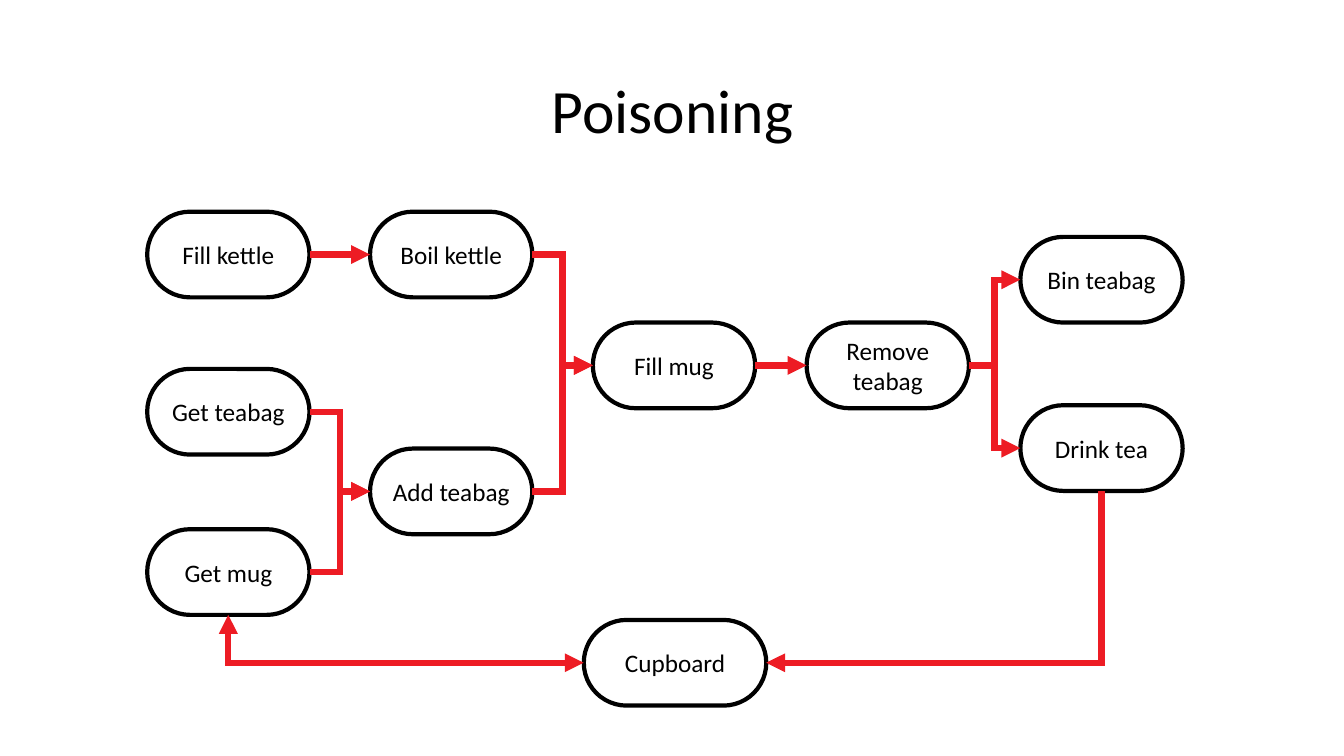
from lxml import etree
from pptx import Presentation
from pptx.dml.color import RGBColor
from pptx.enum.shapes import MSO_CONNECTOR, MSO_SHAPE
from pptx.enum.text import MSO_ANCHOR, PP_ALIGN
from pptx.oxml.ns import qn
from pptx.util import Inches, Pt

ROUNDED = MSO_SHAPE.ROUNDED_RECTANGLE
STRAIGHT, ELBOW = MSO_CONNECTOR.STRAIGHT, MSO_CONNECTOR.ELBOW
MIDDLE, CENTER = MSO_ANCHOR.MIDDLE, PP_ALIGN.CENTER
LEFT, BOTTOM, RIGHT = 1, 2, 3

FONT, BLACK, RED = "Calibri", "000000", "ED1C24"
TITLE = "Poisoning"
STEP_WIDTH, CUPBOARD_WIDTH, STEP_HEIGHT = 1.61, 1.81, 0.85
COLUMNS = [1.46, 3.67, 5.88, 8.0, 10.12]
STEPS = [
    ("Fill kettle", 0, 2.1),
    ("Get teabag", 0, 3.66),
    ("Get mug", 0, 5.25),
    ("Boil kettle", 1, 2.1),
    ("Add teabag", 1, 4.45),
    ("Fill mug", 2, 3.2),
    ("Remove teabag", 3, 3.2),
    ("Bin teabag", 4, 2.35),
    ("Drink tea", 4, 4.02),
]
CUPBOARD = ("Cupboard", 5.79, 6.15)
FLOWS = [
    ("Fill kettle", "Boil kettle", STRAIGHT),
    ("Get teabag", "Add teabag", ELBOW),
    ("Get mug", "Add teabag", ELBOW),
    ("Add teabag", "Fill mug", ELBOW),
    ("Boil kettle", "Fill mug", ELBOW),
    ("Fill mug", "Remove teabag", STRAIGHT),
    ("Remove teabag", "Bin teabag", ELBOW),
    ("Remove teabag", "Drink tea", ELBOW),
]
CUPBOARD_FLOWS = [
    (RIGHT, "Drink tea", ["headEnd"]),
    (LEFT, "Get mug", ["headEnd", "tailEnd"]),
]


def color(value):
    return RGBColor.from_string(value)


def write(shape, text, size, spacing=1.0):
    frame = shape.text_frame
    frame.word_wrap = True
    frame.vertical_anchor = MIDDLE
    para = frame.paragraphs[0]
    para.alignment = CENTER
    para.line_spacing = spacing
    span = para.add_run()
    span.text = text
    span.font.name = FONT
    span.font.size = Pt(size)
    span.font.color.rgb = color(BLACK)


def add_step(page, text, left, top, width):
    box = page.shapes.add_shape(
        ROUNDED, Inches(left), Inches(top), Inches(width), Inches(STEP_HEIGHT))
    box.adjustments[0] = 0.5
    box.shadow.inherit = False
    box.fill.background()
    box.line.color.rgb = color(BLACK)
    box.line.width = Pt(3)
    write(box, text, 18)
    return box


def add_arrow(page, kind, start, start_side, end, end_side, heads):
    arrow = page.shapes.add_connector(kind, 0, 0, 0, 0)
    arrow.begin_connect(start, start_side)
    arrow.end_connect(end, end_side)
    arrow.line.color.rgb = color(RED)
    arrow.line.width = Pt(4.5)
    properties = arrow.element.spPr
    line = properties.find(qn("a:ln"))
    etree.SubElement(line, qn("a:miter"), lim="800000")
    for head in heads:
        etree.SubElement(line, qn("a:" + head), type="triangle")
    etree.SubElement(properties, qn("a:effectLst"))
    return arrow


def main():
    deck = Presentation()
    deck.slide_width, deck.slide_height = Inches(13.33), Inches(7.5)
    page = deck.slides.add_slide(deck.slide_layouts[6])

    title = page.shapes.add_textbox(
        Inches(0.92), Inches(0.4), Inches(11.5), Inches(1.45))
    write(title, TITLE, 44, 0.9)

    boxes = {text: add_step(page, text, COLUMNS[column], top, STEP_WIDTH)
             for text, column, top in STEPS}
    cupboard = add_step(page, *CUPBOARD, CUPBOARD_WIDTH)

    for start, end, kind in FLOWS:
        add_arrow(page, kind, boxes[start], RIGHT, boxes[end], LEFT, ["tailEnd"])
    for side, end, heads in CUPBOARD_FLOWS:
        arrow = add_arrow(page, ELBOW, cupboard, side, boxes[end], BOTTOM, heads)
        geometry = arrow.element.spPr.find(qn("a:prstGeom"))
        geometry.set("prst", "bentConnector2")

    deck.save("out.pptx")


if __name__ == "__main__":
    main()
